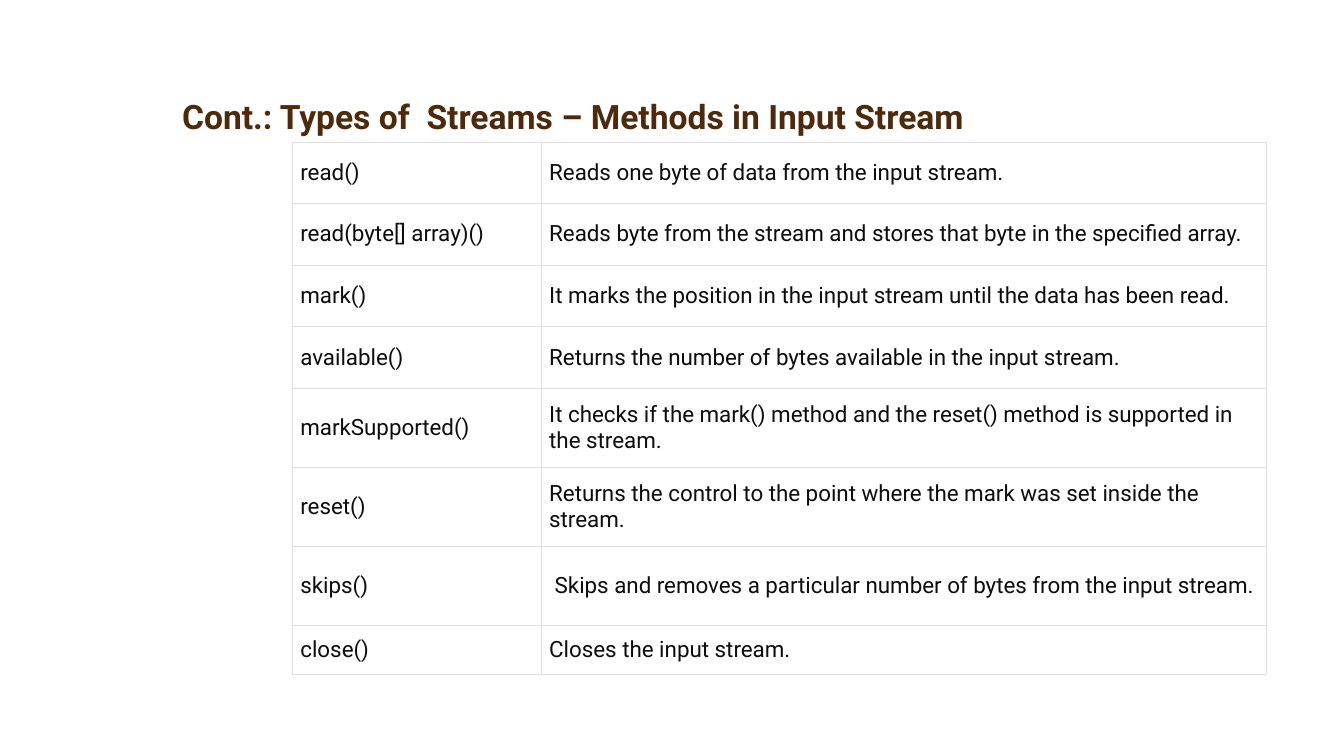
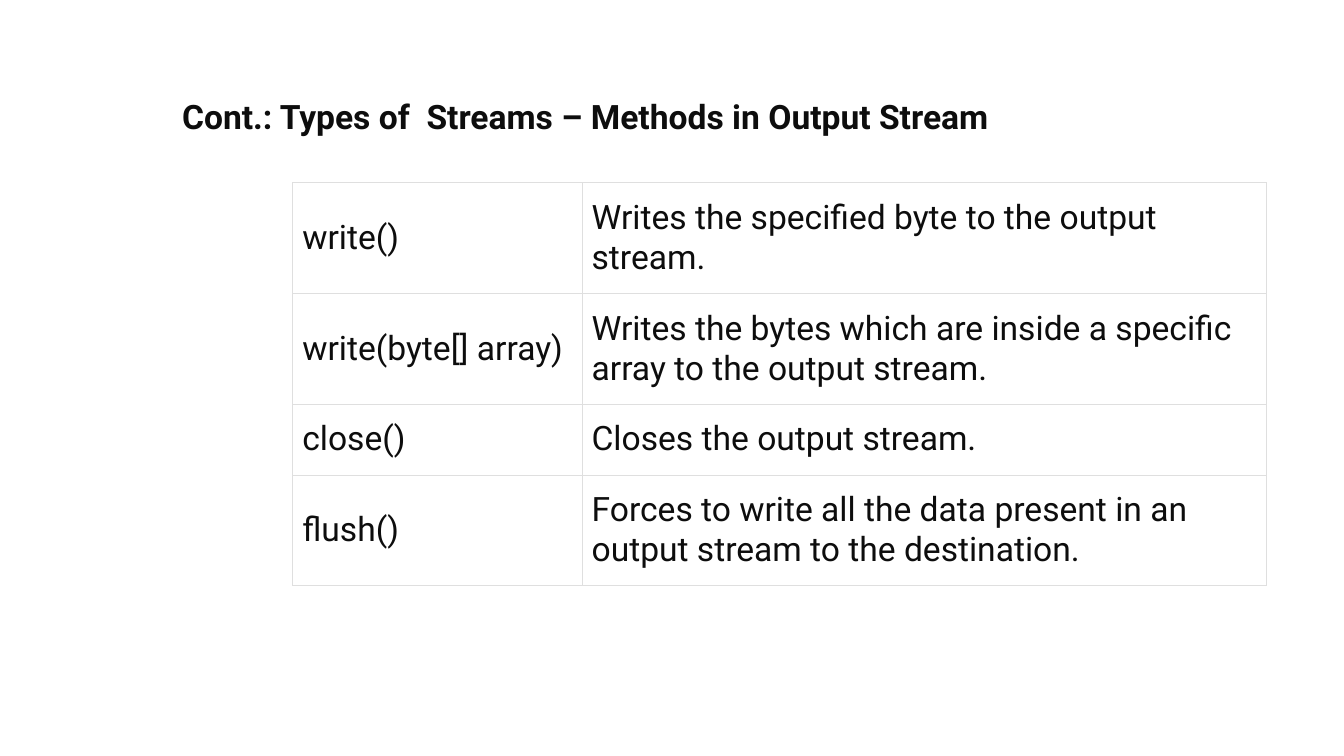
import dataclasses

import pptx
import pptx.dml.color
import pptx.enum.text
import pptx.oxml
import pptx.oxml.ns
import pptx.presentation
import pptx.shapes.autoshape
import pptx.slide
import pptx.table
import pptx.text.text
import pptx.util

Cm = pptx.util.Cm
Pt = pptx.util.Pt
RGBColor = pptx.dml.color.RGBColor

WHITE = RGBColor(0xFF, 0xFF, 0xFF)
BROWN = RGBColor(0x4D, 0x2A, 0x0B)
INK = RGBColor(0x0D, 0x0D, 0x0D)
BORDER = RGBColor(0xDF, 0xDF, 0xDF)
BORDER_WIDTH = Pt(0.23)
FONT = "Roboto"
TITLE_SIZE = 24
TABLE_LEFT = 7.37


@dataclasses.dataclass(frozen=True)
class Method:
    name: str
    description: str
    height: float


@dataclasses.dataclass(frozen=True)
class MethodSlide:
    title: str
    title_color: RGBColor
    table_top: float
    column_widths: tuple[float, float]
    text_size: int
    side_margin: float
    end_margin: float
    methods: tuple[Method, ...]


SLIDES = (
    MethodSlide(
        title="Cont.: Types of  Streams – Methods in Input Stream",
        title_color=BROWN,
        table_top=3.58,
        column_widths=(6.27, 18.26),
        text_size=16,
        side_margin=0.2,
        end_margin=0.28,
        methods=(
            Method("read()", "Reads one byte of data from the input stream.", 1.55),
            Method("read(byte[] array)()", "Reads byte from the stream and stores that byte in the specified array.", 1.55),
            Method("mark()", "It marks the position in the input stream until the data has been read.", 1.55),
            Method("available()", "Returns the number of bytes available in the input stream.", 1.55),
            Method("markSupported()", "It checks if the mark() method and the reset() method is supported in the stream.", 1.99),
            Method("reset()", "Returns the control to the point where the mark was set inside the stream.", 1.99),
            Method("skips()", " Skips and removes a particular number of bytes from the input stream.", 1.99),
            Method("close()", "Closes the input stream.", 1.23),
        ),
    ),
    MethodSlide(
        title="Cont.: Types of  Streams – Methods in Output Stream",
        title_color=INK,
        table_top=4.6,
        column_widths=(7.29, 17.25),
        text_size=24,
        side_margin=0.25,
        end_margin=0.38,
        methods=(
            Method("write()", "Writes the specified byte to the output stream.", 2.73),
            Method("write(byte[] array)", "Writes the bytes which are inside a specific array to the output stream.", 2.73),
            Method("close()", "Closes the output stream.", 1.73),
            Method("flush()", "Forces to write all the data present in an output stream to the destination.", 2.73),
        ),
    ),
)


def set_attributes(target: object, values: dict[str, object]) -> None:
    for name, value in values.items():
        setattr(target, name, value)


def write_text(paragraph: pptx.text.text._Paragraph, text: str, size: int, color: RGBColor, bold: bool = False) -> None:
    run = paragraph.add_run()
    run.text = text
    set_attributes(run.font, {"name": FONT, "size": Pt(size), "bold": bold})
    run.font.color.rgb = color


def add_title(slide: pptx.slide.Slide, text: str, color: RGBColor) -> None:
    shape = slide.shapes.add_textbox(Cm(4.34), Cm(1.17), Cm(25.7), Cm(2.41))
    set_attributes(
        shape.text_frame,
        {"word_wrap": True, "vertical_anchor": pptx.enum.text.MSO_ANCHOR.BOTTOM},
    )
    paragraph = shape.text_frame.paragraphs[0]
    set_attributes(paragraph, {"alignment": pptx.enum.text.PP_ALIGN.JUSTIFY, "line_spacing": 0.9})
    write_text(paragraph, text, TITLE_SIZE, color, bold=True)


def add_borders(cell: pptx.table._Cell) -> None:
    properties = cell._tc.get_or_add_tcPr()
    for position, side in enumerate(("lnL", "lnR", "lnT", "lnB")):
        line = pptx.oxml.parse_xml(
            f'<a:{side} {pptx.oxml.ns.nsdecls("a")} w="{BORDER_WIDTH}">'
            f'<a:solidFill><a:srgbClr val="{BORDER}"/></a:solidFill></a:{side}>'
        )
        properties.insert(position, line)


def fill_cell(cell: pptx.table._Cell, text: str, content: MethodSlide) -> None:
    set_attributes(
        cell,
        {
            "margin_left": Cm(content.side_margin),
            "margin_right": Cm(content.side_margin),
            "margin_top": Cm(content.end_margin),
            "margin_bottom": Cm(content.end_margin),
            "vertical_anchor": pptx.enum.text.MSO_ANCHOR.MIDDLE,
        },
    )
    cell.fill.solid()
    cell.fill.fore_color.rgb = WHITE
    add_borders(cell)
    write_text(cell.text_frame.paragraphs[0], text, content.text_size, INK)


def add_method_table(slide: pptx.slide.Slide, content: MethodSlide) -> None:
    table = slide.shapes.add_table(
        len(content.methods),
        len(content.column_widths),
        Cm(TABLE_LEFT),
        Cm(content.table_top),
        Cm(sum(content.column_widths)),
        Cm(sum(method.height for method in content.methods)),
    ).table
    set_attributes(table, {"first_row": False, "horz_banding": False})
    for column, width in zip(table.columns, content.column_widths):
        column.width = Cm(width)
    for row, method in zip(table.rows, content.methods):
        row.height = Cm(method.height)
        for cell, text in zip(row.cells, (method.name, method.description)):
            fill_cell(cell, text, content)


def add_method_slide(presentation: pptx.presentation.Presentation, content: MethodSlide) -> None:
    slide = presentation.slides.add_slide(presentation.slide_layouts[6])
    add_title(slide, content.title, content.title_color)
    add_method_table(slide, content)


def main() -> None:
    presentation = pptx.Presentation()
    set_attributes(presentation, {"slide_width": Cm(33.87), "slide_height": Cm(19.05)})
    for content in SLIDES:
        add_method_slide(presentation, content)
    presentation.save("out.pptx")


if __name__ == "__main__":
    main()
